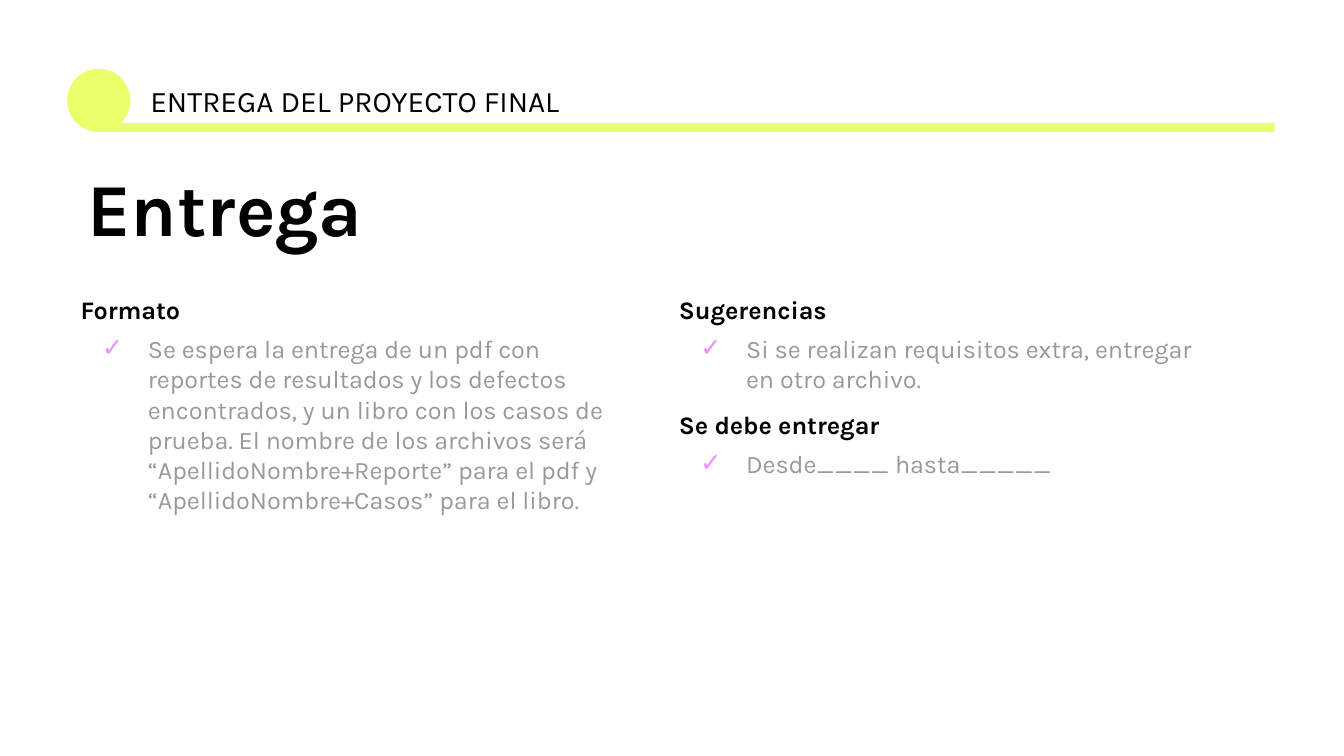
from lxml.etree import SubElement as Sub
from pptx import Presentation
from pptx.dml.color import RGBColor as Rgb
from pptx.enum.shapes import MSO_SHAPE as Kind
from pptx.oxml.ns import qn
from pptx.util import Inches, Pt

FONT = "Karla"
COLORS = {"lime": "EAFF6A", "ink": "000000", "gray": "999999", "pink": "EA90FF"}
COLS, ROWS = 100, 56.25  # square grid cells
CELL = Inches(0.1)

LEFT = [
    ("Formato", "Se espera la entrega de un pdf con reportes de resultados y los "
     "defectos encontrados, y un libro con los casos de prueba. El nombre de los "
     "archivos será “ApellidoNombre+Reporte” para el pdf y "
     "“ApellidoNombre+Casos” para el libro."),
]
RIGHT = [
    ("Sugerencias", "Si se realizan requisitos extra, entregar en otro archivo."),
    ("Se debe entregar", "Desde____ hasta_____"),
]


def grid(*cells):
    return [round(n * CELL) for n in cells]


def color(name):
    return Rgb.from_string(COLORS[name])


def add_mark(slide, kind, *area):
    mark = slide.shapes.add_shape(kind, *grid(*area))
    mark.shadow.inherit = False
    mark.fill.solid()
    mark.fill.fore_color.rgb = color("lime")
    mark.line.fill.background()


def add_box(slide, *area):
    frame = slide.shapes.add_textbox(*grid(*area)).text_frame
    frame.word_wrap = True
    frame.margin_left = frame.margin_right = CELL
    frame.margin_top = frame.margin_bottom = CELL
    return frame


def style(para, text, size, tint="ink", bold=False):
    para.text = text
    para.font.name = FONT
    para.font.size = Pt(size)
    para.font.bold = bold
    para.font.color.rgb = color(tint)


def add_check(para):
    """Give the paragraph a hanging pink check mark as its bullet."""
    props = para._p.get_or_add_pPr()
    props.set("marL", str(Inches(0.5)))
    props.set("indent", str(Inches(-0.34)))
    tint = Sub(props, qn("a:buClr"))
    Sub(tint, qn("a:srgbClr"), val=COLORS["pink"])
    Sub(props, qn("a:buFont"), typeface=FONT)
    Sub(props, qn("a:buChar"), char="✓")


def add_list(slide, parts, *area):
    frame = add_box(slide, *area)
    for i, (head, body) in enumerate(parts):
        para = frame.add_paragraph() if i else frame.paragraphs[0]
        if i:
            para.space_before = Pt(8)
        style(para, head, 13.5, bold=True)
        para = frame.add_paragraph()
        para.space_before = Pt(4.8)
        add_check(para)
        style(para, body, 13.5, "gray")


def main():
    deck = Presentation()
    deck.slide_width, deck.slide_height = grid(COLS, ROWS)
    slide = deck.slides.add_slide(deck.slide_layouts[6])

    add_mark(slide, Kind.OVAL, 5, 5.12, 4.7, 4.7)
    title = add_box(slide, 5.5, 11.8, 79.9, 8.1).paragraphs[0]
    title.line_spacing = 0.9
    style(title, "Entrega", 40, bold=True)
    topic = add_box(slide, 10.2, 5.14, 35, 4.7).paragraphs[0]
    style(topic, "ENTREGA DEL PROYECTO FINAL", 16)
    add_list(slide, RIGHT, 49.53, 20.9, 41.9, 15.9)
    add_list(slide, LEFT, 5.02, 20.9, 41.9, 20.9)
    add_mark(slide, Kind.RECTANGLE, 7, 9.15, 87.85, 0.67)

    deck.save("out.pptx")


if __name__ == "__main__":
    main()
